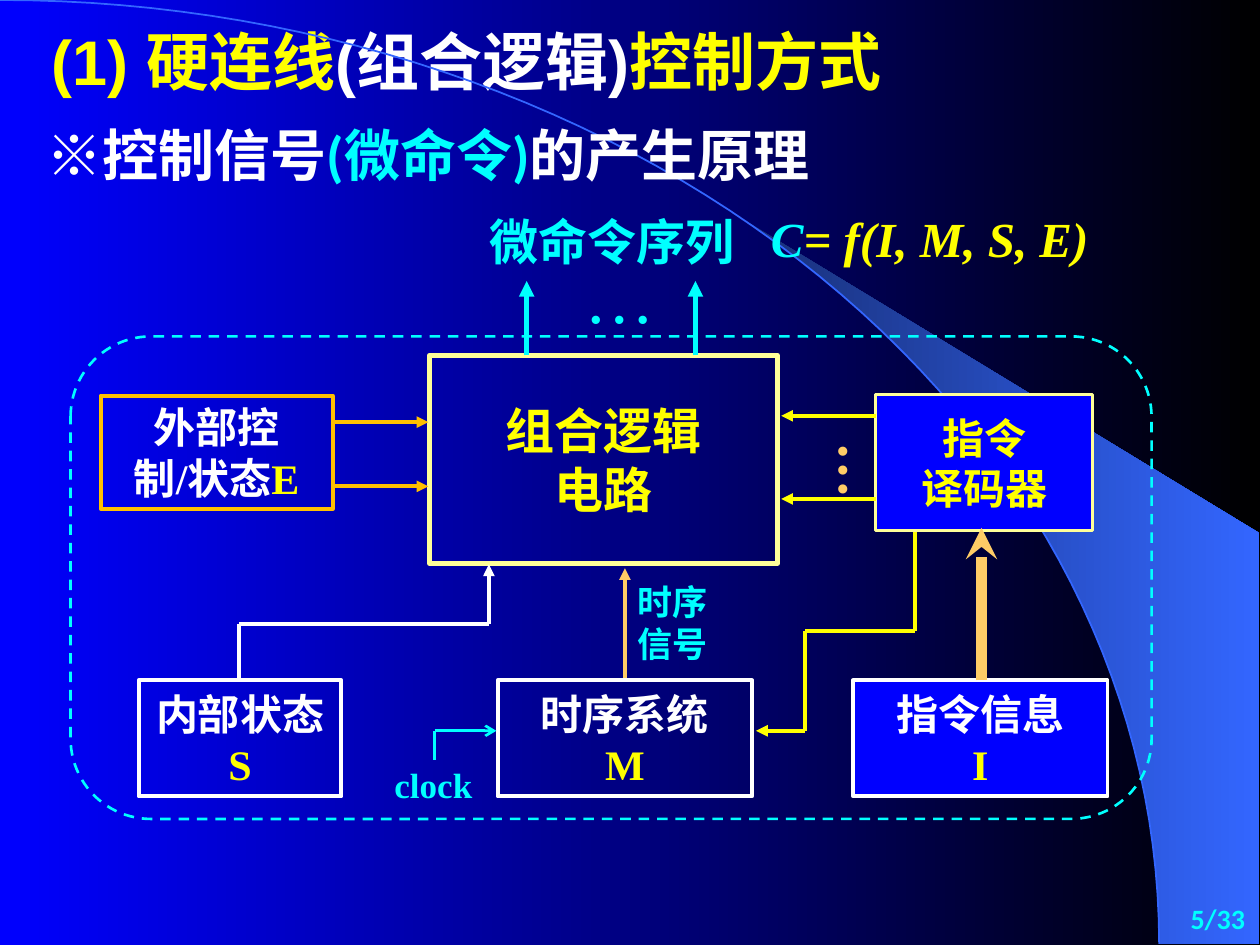
import math

import pptx
import pptx.dml.color
import pptx.enum.dml
import pptx.enum.lang
import pptx.enum.shapes
import pptx.enum.text
import pptx.oxml
import pptx.oxml.ns
import pptx.util

COLORS = {"yellow": "FFFF00", "cyan": "00FFFF", "white": "FFFFFF", "cream": "FFFF99",
          "orange": "FFC000", "peach": "FFCC66", "blue": "0000FF", "black": "000000",
          "navy": "182F76", "sky": "3366FF"}
COLUMNS, ROWS = 100, 75
CJK = "Noto Sans CJK SC"
SERIF = "Times New Roman"
ALIGN = pptx.enum.text.PP_ALIGN
ANCHOR = pptx.enum.text.MSO_ANCHOR
SHAPE = pptx.enum.shapes.MSO_SHAPE


def color(name):
    return pptx.dml.color.RGBColor.from_string(COLORS[name])


def add_span(para, text, size=24, ink="white", font=SERIF, bold=True, italic=False):
    span = para.add_run()
    span.text = text
    style = span.font
    style.size, style.bold, style.italic = pptx.util.Pt(size), bold, italic
    style.color.rgb = color(ink)
    style.name = font
    style.language_id = pptx.enum.lang.MSO_LANGUAGE_ID.SIMPLIFIED_CHINESE
    add_element(style._element, "a:ea", typeface=CJK)


def add_element(parent, tag, **attributes):
    child = pptx.oxml.parse_xml(f"<{tag} {pptx.oxml.ns.nsdecls('a')}/>")
    for key, value in attributes.items():
        child.set(key, value)
    parent.append(child)


class Diagram:
    """The current slide, measured in grid columns and rows."""

    def __init__(self, deck):
        self.slide = deck.slides.add_slide(deck.slide_layouts[5])
        self.column = deck.slide_width / COLUMNS
        self.row = deck.slide_height / ROWS

    def place(self, x, y):
        return round(x * self.column), round(y * self.row)

    def gradient(self, fill, start, end):
        fill.gradient()
        fill.gradient_angle = 0
        for stop, name, position in zip(fill.gradient_stops, (start, end), (0, 1)):
            stop.color.rgb = color(name)
            stop.position = position

    def fill_text(self, frame, lines, align, anchor, wrap):
        frame.word_wrap = wrap
        frame.auto_size = pptx.enum.text.MSO_AUTO_SIZE.NONE
        frame.vertical_anchor = anchor
        for index, line in enumerate(lines):
            para = frame.paragraphs[0] if index == 0 else frame.add_paragraph()
            para.alignment = align
            for text, style in line:
                add_span(para, text, **style)

    def title(self, x, y, width, height, line):
        box = self.slide.shapes.title
        box.left, box.top = self.place(x, y)
        box.width, box.height = self.place(width, height)
        self.fill_text(box.text_frame, [line], ALIGN.LEFT, ANCHOR.TOP, True)

    def text(self, x, y, width, height, line, align=ALIGN.LEFT, anchor=ANCHOR.TOP):
        box = self.slide.shapes.add_textbox(*self.place(x, y), *self.place(width, height))
        self.fill_text(box.text_frame, [line], align, anchor, True)
        return box

    def block(self, x, y, width, height, edge, weight, lines=(), fill=None,
              shape=SHAPE.RECTANGLE, anchor=ANCHOR.MIDDLE, wrap=False):
        box = self.slide.shapes.add_shape(shape, *self.place(x, y), *self.place(width, height))
        box.shadow.inherit = False
        if fill:
            box.fill.solid()
            box.fill.fore_color.rgb = color(fill)
        else:
            box.fill.background()
        box.line.color.rgb = color(edge)
        box.line.width = pptx.util.Pt(weight)
        self.fill_text(box.text_frame, lines, ALIGN.CENTER, anchor, wrap)
        return box

    def route(self, points, ink, weight=2.25, head="triangle"):
        """Straight segments through the points, with an arrowhead at the last."""
        for start, end in zip(points, points[1:]):
            wire = self.slide.shapes.add_connector(
                pptx.enum.shapes.MSO_CONNECTOR.STRAIGHT, *self.place(*start), *self.place(*end))
            wire.line.color.rgb = color(ink)
            wire.line.width = pptx.util.Pt(weight)
            if end == points[-1]:
                add_element(wire.line._get_or_add_ln(), "a:tailEnd", type=head)
            add_element(wire._element.spPr, "a:effectLst")

    def outline(self, points, closed):
        places = [self.place(*point) for point in points]
        builder = self.slide.shapes.build_freeform(*places[0])
        builder.add_line_segments(places[1:], close=closed)
        form = builder.convert_to_shape()
        form.shadow.inherit = False
        return form


def arc(start, end, steps=60):
    """Points on the quarter ellipse that sweeps from top left to bottom right."""
    angles = [math.radians(start + (end - start) * i / steps) for i in range(steps + 1)]
    return [(92 * math.sin(a), 74.9 * (1 - math.cos(a))) for a in angles]


def main():
    deck = pptx.Presentation()
    deck.slide_width, deck.slide_height = pptx.util.Inches(10), pptx.util.Inches(7.5)
    diagram = Diagram(deck)

    # Background with the beam and its arc
    diagram.gradient(diagram.slide.background.fill, "blue", "black")
    beam = diagram.outline(arc(39.8, 90) + [(99.9, 74.9), (99.9, 42.3)], True)
    diagram.gradient(beam.fill, "navy", "sky")
    beam.line.fill.background()
    curve = diagram.outline(arc(0, 90), False)
    curve.fill.background()
    curve.line.color.rgb = color("sky")
    curve.line.width = pptx.util.Pt(1)

    # Title and subtitle
    heading = {"size": 36, "font": "Arial"}
    diagram.title(3.1, 1.3, 85.5, 7, [
        ("(1) 硬连线", {**heading, "ink": "yellow"}), ("(组合逻辑)", heading),
        ("控制方式", {**heading, "ink": "yellow"})])
    diagram.text(2.7, 9.1, 70.6, 6.4, [
        ("※", {"size": 32, "font": CJK}), ("控制信号", {"size": 32}),
        ("(微命令)", {"size": 32, "font": "Calibri", "ink": "cyan"}),
        ("的产生原理", {"size": 32})])

    # Combinational logic and its outputs
    core = {"size": 28, "ink": "yellow"}
    diagram.block(34.1, 28.2, 27.6, 16.5, "cream", 3, [[("组合逻辑", core)], [("电路", core)]])
    for x in (41.8, 55.2):
        diagram.route([(x, 28.2), (x, 22.3)], "cyan", 3)
    diagram.text(45.4, 19.6, 11.7, 7.7, [("…", {"size": 40, "ink": "cyan", "bold": False})])
    diagram.text(37.7, 16.3, 21.7, 5.7, [("微命令序列", {"size": 28, "ink": "cyan"})], ALIGN.CENTER)
    formula = {"size": 28, "italic": True}
    equation = diagram.text(60.2, 16.3, 33.9, 5.5, [
        ("C", {**formula, "ink": "cyan"}), ("= f(I, M, S, E)", {**formula, "ink": "yellow"})])
    equation.text_frame.paragraphs[0].line_spacing = pptx.util.Pt(32)

    # Instruction decoder
    decoder = {"ink": "yellow"}
    diagram.block(69.5, 31.3, 17.2, 10.8, "cream", 1.5,
                  [[("指令", decoder)], [("译码器", decoder)]], "blue")
    for y in (33, 39.6):
        diagram.route([(69.5, y), (62, y)], "yellow")
    dots = diagram.text(64.3, 34.1, 7.3, 5.8, [("…", {"size": 32, "ink": "peach"})])
    frame = dots.text_frame
    frame.margin_left = frame.margin_right = pptx.util.Inches(0.05)
    frame.margin_top = frame.margin_bottom = pptx.util.Inches(0.1)
    frame._txBody.bodyPr.set("vert", "eaVert")

    # External control and status
    for y in (33.5, 38.6):
        diagram.route([(26.4, y), (34, y)], "orange")
    diagram.block(8, 31.4, 18.4, 9, "orange", 2.25,
                  [[("外部控制/状态", {}), ("E", {"ink": "yellow"})]], anchor=ANCHOR.TOP, wrap=True)

    # Lower row of sources
    for x, width, name, symbol, fill in ((11, 16.1, "内部状态", "S", None),
                                         (39.5, 20.2, "时序系统", "M", None),
                                         (67.7, 20.2, "指令信息", "I", "blue")):
        diagram.block(x, 54, width, 9.2, "white", 2.25,
                      [[(name, {})], [(symbol, {"ink": "yellow"})]], fill)

    # Signal paths
    diagram.route([(77.9, 54), (77.9, 41.9)], "peach", 6, "stealth")
    diagram.route([(49.6, 53.8), (49.6, 45.1)], "peach")
    diagram.route([(19, 53.8), (19, 49.5), (38.8, 49.5), (38.8, 44.8)], "white")
    diagram.route([(72.6, 42.2), (72.6, 50.1), (63.9, 50.1), (63.9, 58), (60, 58)], "yellow")
    diagram.route([(34.5, 60.3), (34.5, 58), (39.4, 58)], "cyan", 1.5, "arrow")
    label = {"size": 20, "ink": "cyan"}
    diagram.text(49.6, 45.6, 8.5, 7.7, [("时序信号", label)])
    diagram.text(29.8, 60.1, 9.2, 4.4, [("clock", label)], ALIGN.CENTER)

    # Dashed boundary and page number
    boundary = diagram.block(5.6, 26.7, 85.8, 38.3, "cyan", 1.5, shape=SHAPE.ROUNDED_RECTANGLE)
    boundary.line.dash_style = pptx.enum.dml.MSO_LINE.DASH
    diagram.text(79, 70.9, 20.8, 3.9, [("5/33", {"size": 16, "font": "Calibri", "ink": "cyan"})],
                 ALIGN.RIGHT, ANCHOR.MIDDLE)

    deck.save("out.pptx")


if __name__ == "__main__":
    main()
